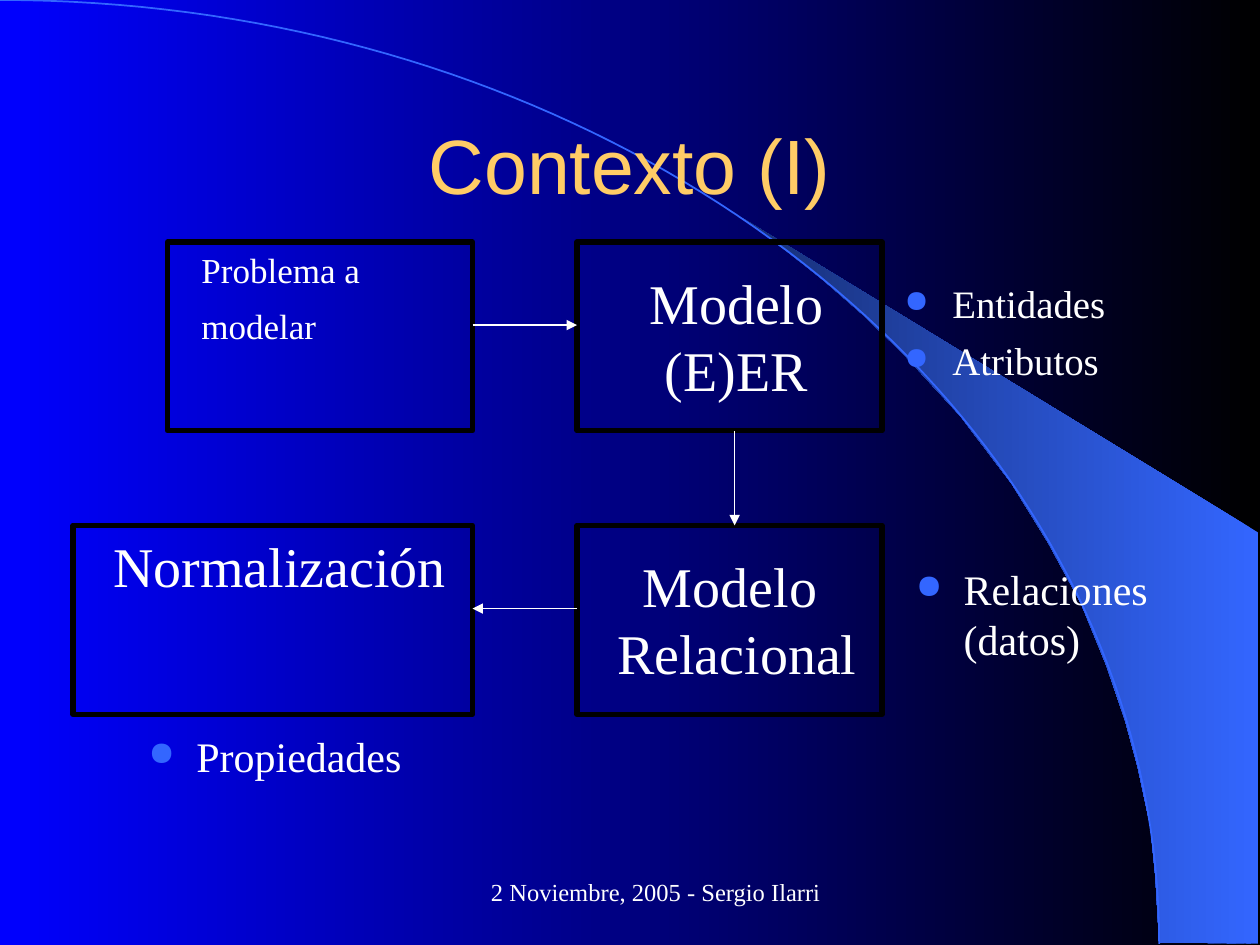
from lxml.etree import SubElement
from pptx import Presentation
from pptx.dml.color import RGBColor
from pptx.enum.shapes import MSO_CONNECTOR, MSO_SHAPE
from pptx.enum.text import MSO_ANCHOR, PP_ALIGN
from pptx.oxml.ns import qn
from pptx.util import Inches, Pt

SERIF = "Times New Roman"
WHITE, BLACK, BLUE, GOLD = "FFFFFF", "000000", "3366FF", "FFCC66"

# Diagram boxes: left, top, width, height
ROW_1, ROW_2, BOX_H = 1.92, 4.17, 1.5
BOXES = [
    (1.33, ROW_1, 2.42, BOX_H),
    (4.58, ROW_1, 2.42, BOX_H),
    (0.58, ROW_2, 3.17, BOX_H),
    (4.58, ROW_2, 2.42, BOX_H),
]
# Arrows: start, end
ARROWS = [
    ((3.75, 2.58), (4.58, 2.58)),
    ((5.83, ROW_1 + BOX_H), (5.83, ROW_2)),
    ((4.58, 4.83), (3.75, 4.83)),
]
# Texts: place, lines, size, options
TEXTS = [
    ((0.75, 0.67, 8.5, 1.25), ["Contexto (I)"], 44,
     dict(font="Arial", color=GOLD, center=True, middle=True)),
    ((1.5, ROW_1, 2.25, 0.92), ["Problema a", "modelar"], 20, dict(gap=8)),
    ((5, 2.08, 1.69, 1.17), ["Modelo ", "(E)ER"], 32,
     dict(center=True, wrap=False)),
    ((0.8, ROW_2, 2.95, 0.92), ["Normalización"], 32, {}),
    ((4.8, 4.33, 2.1, 1.17), ["Modelo ", "Relacional"], 32,
     dict(center=True, wrap=False)),
    ((7.08, 2.17, 1.92, 0.92), ["Entidades", "Atributos"], 22.2,
     dict(gap=6, bullet=True)),
    ((7.17, 4.42, 2.5, 0.92), ["Relaciones (datos)"], 24, dict(bullet=True)),
    ((1.08, 5.75, 2.5, 0.92), ["Propiedades"], 24, dict(bullet=True)),
    ((3, 6.83, 4.17, 0.5), ["2 Noviembre, 2005 - Sergio Ilarri"], 14,
     dict(center=True, middle=True, margin=0.24)),
]
# Backdrop: wedge outline and Bézier control points of the arc
WEDGE = [
    (9.2, 7.48), (9.99, 7.49), (9.99, 4.23), (5.89, 1.73), (6.24, 1.99),
    (6.53, 2.22), (6.85, 2.5), (7.16, 2.8), (7.62, 3.3), (8.03, 3.84),
    (8.32, 4.31), (8.58, 4.79), (8.78, 5.28), (8.93, 5.72), (9.03, 6.09),
    (9.13, 6.56), (9.17, 6.96),
]
ARC = [(0, 0), (5.08, 0), (9.2, 3.35), (9.2, 7.49)]
ARC_STEPS = 80


def rgb(value):
    return RGBColor.from_string(value)


def set_gradient(fill, colors):
    fill.gradient()
    fill.gradient_angle = 180
    for stop, color in zip(fill.gradient_stops, colors):
        stop.color.rgb = rgb(color)


def set_line(line, color, width):
    line.color.rgb = rgb(color)
    line.width = Pt(width)


def bezier(points, t):
    weights = [(1 - t) ** 3, 3 * t * (1 - t) ** 2, 3 * t * t * (1 - t), t ** 3]
    return tuple(sum(w * p[axis] for w, p in zip(weights, points))
                 for axis in (0, 1))


def add_outline(page, points, close):
    points = [(Inches(x), Inches(y)) for x, y in points]
    builder = page.shapes.build_freeform(*points[0])
    builder.add_line_segments(points[1:], close=close)
    shape = builder.convert_to_shape()
    shape.shadow.inherit = False
    return shape


def add_bullet(para):
    props = para._p.get_or_add_pPr()
    props.set("marL", str(Inches(0.38)))
    props.set("indent", str(-Inches(0.38)))
    color = SubElement(props, qn("a:buClr"))
    SubElement(color, qn("a:srgbClr"), val=BLUE)
    SubElement(props, qn("a:buSzPct"), val="80000")
    SubElement(props, qn("a:buChar"), char="●")


def add_text(page, place, lines, size, font=SERIF, color=WHITE, center=False,
             middle=False, wrap=True, gap=0, bullet=False, margin=0):
    frame = page.shapes.add_textbox(*map(Inches, place)).text_frame
    frame.word_wrap = wrap
    frame.vertical_anchor = MSO_ANCHOR.MIDDLE if middle else MSO_ANCHOR.TOP
    for index, line in enumerate(lines):
        para = frame.add_paragraph() if index else frame.paragraphs[0]
        if bullet:
            add_bullet(para)
        if margin:
            para._p.get_or_add_pPr().set("marL", str(Inches(margin)))
        if index and gap:
            para.space_before = Pt(gap)
        para.alignment = PP_ALIGN.CENTER if center else PP_ALIGN.LEFT
        span = para.add_run()
        span.text = line
        span.font.name = font
        span.font.size = Pt(size)
        span.font.color.rgb = rgb(color)


def add_arrow(page, start, end):
    arrow = page.shapes.add_connector(
        MSO_CONNECTOR.STRAIGHT, *map(Inches, start + end))
    set_line(arrow.line, WHITE, 0.75)
    SubElement(arrow.line._get_or_add_ln(), qn("a:tailEnd"), type="triangle")
    SubElement(arrow._element.spPr, qn("a:effectLst"))


def main():
    deck = Presentation()
    deck.slide_width, deck.slide_height = Inches(10), Inches(7.5)
    page = deck.slides.add_slide(deck.slide_layouts[6])

    # Backdrop
    set_gradient(page.background.fill, (BLACK, "0000FF"))
    wedge = add_outline(page, WEDGE, close=True)
    set_gradient(wedge.fill, (BLUE, "172F75"))
    wedge.line.fill.background()
    curve = [bezier(ARC, step / ARC_STEPS) for step in range(ARC_STEPS + 1)]
    arc = add_outline(page, curve, close=False)
    arc.fill.background()
    set_line(arc.line, BLUE, 1)

    # Diagram
    for place in BOXES:
        box = page.shapes.add_shape(MSO_SHAPE.RECTANGLE, *map(Inches, place))
        box.shadow.inherit = False
        box.fill.background()
        set_line(box.line, BLACK, 3)
    for start, end in ARROWS:
        add_arrow(page, start, end)

    # Title, labels and footer
    for place, lines, size, options in TEXTS:
        add_text(page, place, lines, size, **options)

    deck.save("out.pptx")


if __name__ == "__main__":
    main()
